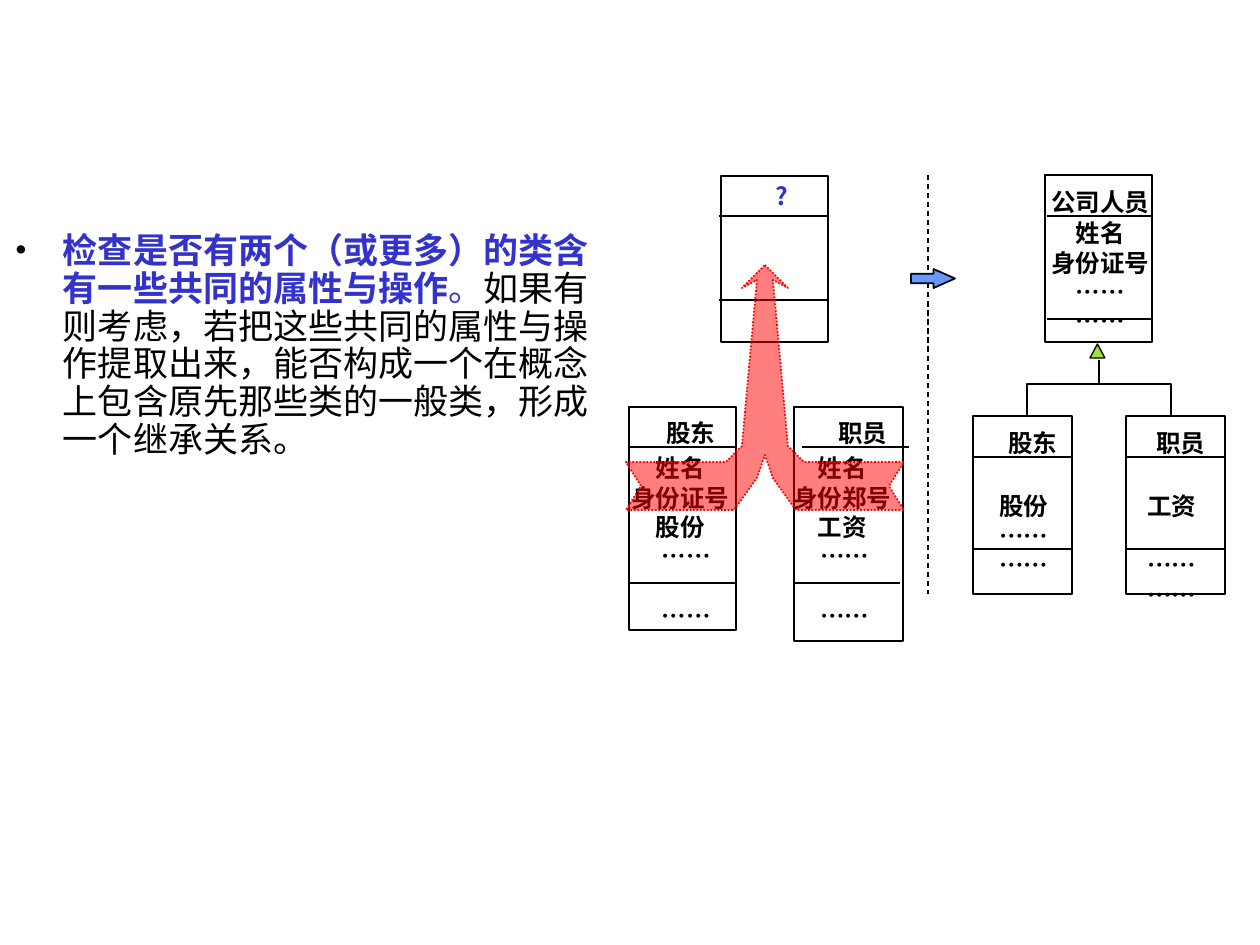
from lxml import etree
from pptx import Presentation
from pptx.dml.color import RGBColor
from pptx.enum.dml import MSO_LINE
from pptx.enum.shapes import MSO_CONNECTOR, MSO_SHAPE
from pptx.enum.text import PP_ALIGN
from pptx.oxml.ns import qn
from pptx.util import Pt

PX = 914400 / 126
CJK = "Noto Sans CJK SC"
SERIF = "Times New Roman"
C = {"black": "000000", "white": "FFFFFF", "blue": "3333CC", "red": "FF0000",
     "arrow": "6699FF", "green": "9DDF3B"}
LINE_GAP = 17
DOTS = "……"


def px(*values):
    return [round(v * PX) for v in values]


def rgb(name):
    return RGBColor.from_string(C[name])


def sub(parent, tag, **attrs):
    return etree.SubElement(parent, qn(tag), attrs)


def style(sp, fill, line="black", width=1):
    sp.shadow.inherit = False
    if fill:
        sp.fill.solid()
        sp.fill.fore_color.rgb = rgb(fill)
    else:
        sp.fill.background()
    sp.line.color.rgb = rgb(line)
    sp.line.width = Pt(width)


def add_shape(s, kind, box, fill, width=1):
    sp = s.shapes.add_shape(kind, *px(*box))
    style(sp, fill, width=width)
    return sp


def add_line(s, x1, y1, x2, y2, width=1, dash=None):
    cn = s.shapes.add_connector(MSO_CONNECTOR.STRAIGHT, *px(x1, y1, x2, y2))
    cn.line.color.rgb = rgb("black")
    cn.line.width = Pt(width)
    if dash:
        cn.line.dash_style = dash
    sub(cn._element.spPr, "a:effectLst")


def add_free(s, points, fill, line="black", closed=True):
    builder = s.shapes.build_freeform(*points[0], scale=PX)
    builder.add_line_segments(points[1:], close=closed)
    sp = builder.convert_to_shape()
    style(sp, fill, line)
    return sp


def add_text_frame(s, box, wrap):
    tf = s.shapes.add_textbox(*px(*box)).text_frame
    tf.word_wrap = wrap
    tf.margin_left = tf.margin_right = 0
    return tf


def set_font(p, name, size):
    """Set the Latin and the East Asian font of a paragraph."""
    p.font.name = name
    p.font.size = Pt(size)
    sub(p._p.pPr.find(qn("a:defRPr")), "a:ea", typeface=CJK)


def add_label(s, box, lines, color="black"):
    """Centred bold lines, each given as (text, space before, left indent)."""
    tf = add_text_frame(s, box, False)
    for i, (text, before, indent) in enumerate(lines):
        p = tf.add_paragraph() if i else tf.paragraphs[0]
        p.text = text
        p.alignment = PP_ALIGN.CENTER
        if before:
            p.space_before = Pt(before)
        if indent:
            p._p.get_or_add_pPr().set("marL", str(px(indent)[0]))
        p.font.bold = True
        p.font.color.rgb = rgb(color)
        set_font(p, CJK, 14)


def add_class(s, box, dividers, name, name_box, body=(), body_box=None, color="black"):
    """A class box; dividers are (x1, x2, y)."""
    add_shape(s, MSO_SHAPE.RECTANGLE, box, "white")
    for x1, x2, y in dividers:
        add_line(s, x1, y, x2, y)
    add_label(s, name_box, [(name, 0, 0)], color)
    if body:
        add_label(s, body_box, body)


def add_classes(s):
    add_class(s, (1045, 175, 107, 167), [(1047, 1153, 216), (1047, 1153, 319)],
              "公司人员", (1039, 181, 123, 42),
              [(t, 0, 0) for t in ("姓名", "身份证号", DOTS, DOTS)], (1039, 212, 123, 130))
    add_class(s, (721, 176, 107, 166), [(719, 828, 216), (719, 827, 300)],
              "?", (763, 175, 37, 42), color="blue")

    for left, width, height, lines, name, name_x, texts, indent, body_x in (
            (629, 107, 223, [(629, 737, 447), (630, 737, 583)], "股东", 654,
             ("姓名", "身份证号", "股份"), 12, 619),
            (794, 109, 234, [(802, 909, 447), (794, 900, 583)], "职员", 826,
             ("姓名", "身份郑号", "工资"), 5, 781)):
        body = [(t, 0, 0) for t in texts]
        body += [(DOTS, 0, indent), (DOTS, LINE_GAP, indent)]
        add_class(s, (left, 407, width, height), lines, name, (name_x, 412, 74, 42),
                  body, (body_x, 447, 123, 189))

    for left, name, name_x, text, body_x, gap in (
            (973, "股东", 996, "股份", 987, 0),
            (1126, "职员", 1144, "工资", 1135, LINE_GAP)):
        add_class(s, (left, 416, 99, 178), [(left, left + 99, y) for y in (457, 549)],
                  name, (name_x, 422, 74, 42),
                  [(text, 0, 0), (DOTS, gap, 0), (DOTS, 0, 0)], (body_x, 485, 74, 101))


def add_merge_arrow(s):
    """Translucent arrow, mirrored about its axis, from both classes up to the new one."""
    axis = 765
    half = [(0, 265), (23, 288), (8, 280), (23, 446), (39, 462), (139, 462),
            (124, 486), (139, 510), (31, 510), (8, 478), (0, 455)]
    points = [(axis + dx, y) for dx, y in half]
    points += [(axis - dx, y) for dx, y in half[-2:0:-1]]
    sp = add_free(s, points, "red", "red")
    sp.line.dash_style = MSO_LINE.ROUND_DOT
    color = sp._element.spPr.find(qn("a:solidFill"))[0]
    sub(color, "a:alpha", val="50000")


def add_inheritance(s):
    add_line(s, 1099, 360, 1099, 384)
    add_free(s, [(1027, 416), (1027, 384), (1171, 384), (1171, 416)], None, closed=False)
    add_shape(s, MSO_SHAPE.ISOSCELES_TRIANGLE, (1090, 344, 15, 14), "green", 0.75)


def add_advice(s):
    tf = add_text_frame(s, (15, 227, 605, 250), True)
    p = tf.paragraphs[0]
    p.line_spacing = 0.9
    pPr = p._p.get_or_add_pPr()
    indent = px(48)[0]
    pPr.set("marL", str(indent))
    pPr.set("indent", str(-indent))
    sub(sub(pPr, "a:buClr"), "a:srgbClr", val=C["black"])
    sub(pPr, "a:buFont", typeface=SERIF)
    sub(pPr, "a:buChar", char="•")
    set_font(p, SERIF, 20)
    for text, color, bold in (
            ("检查是否有两个（或更多）的类含有一些共同的属性与操作", "blue", True),
            ("。", "blue", False),
            ("如果有则考虑，若把这些共同的属性与操作提取出来，能否构成一个在概念上包含原先那些类的一般类，"
             "形成一个继承关系。", "black", False)):
        r = p.add_run()
        r.text = text
        r.font.bold = bold
        r.font.color.rgb = rgb(color)


def main():
    prs = Presentation()
    prs.slide_width, prs.slide_height = px(1260, 945)
    s = prs.slides.add_slide(prs.slide_layouts[6])
    add_classes(s)
    add_merge_arrow(s)
    add_line(s, 928, 175, 928, 594, 0.75, MSO_LINE.DASH)
    arrow = add_shape(s, MSO_SHAPE.RIGHT_ARROW, (911, 269, 44, 19), "arrow")
    arrow.adjustments[1] = 1.13
    add_inheritance(s)
    add_advice(s)
    prs.save("out.pptx")


if __name__ == "__main__":
    main()
